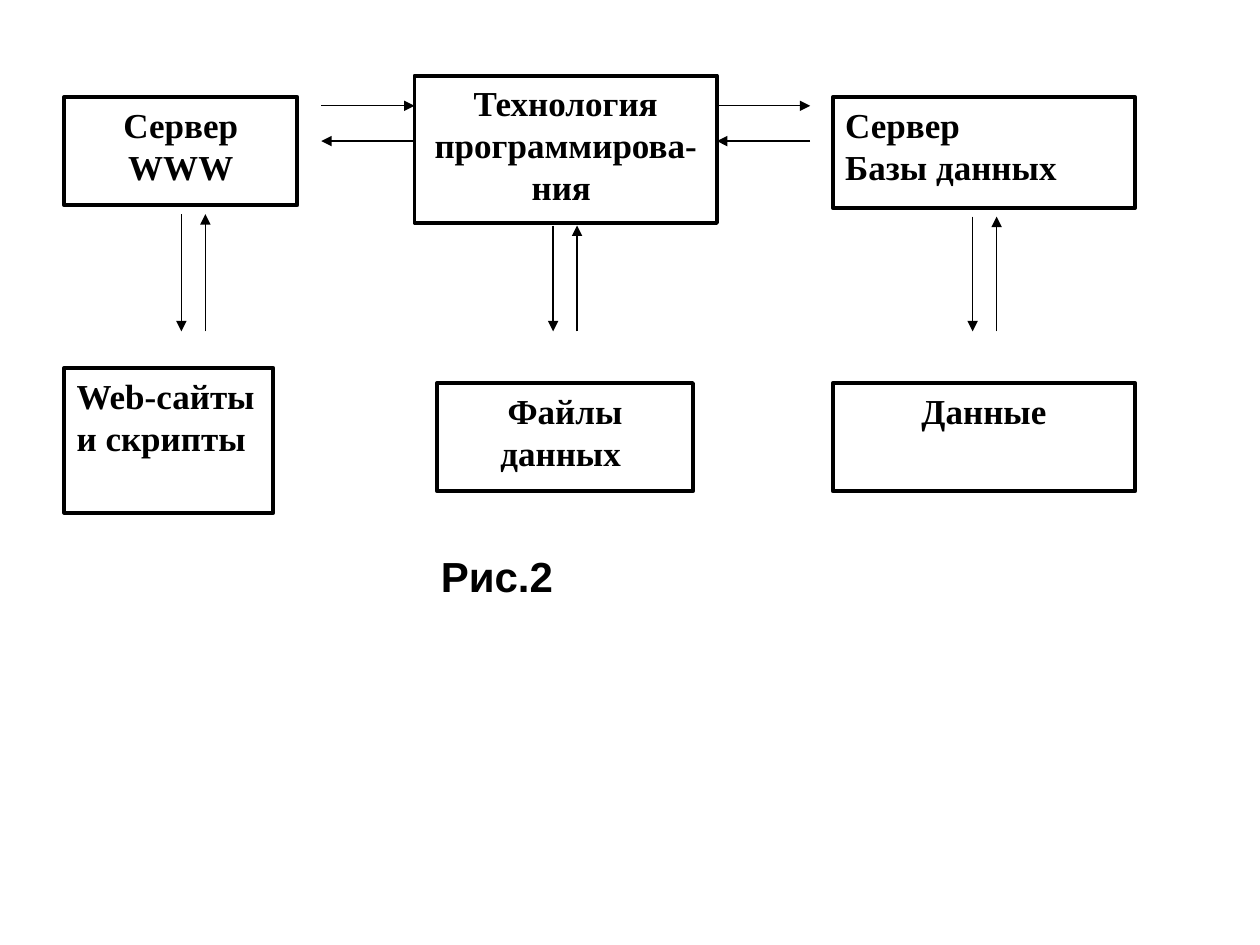
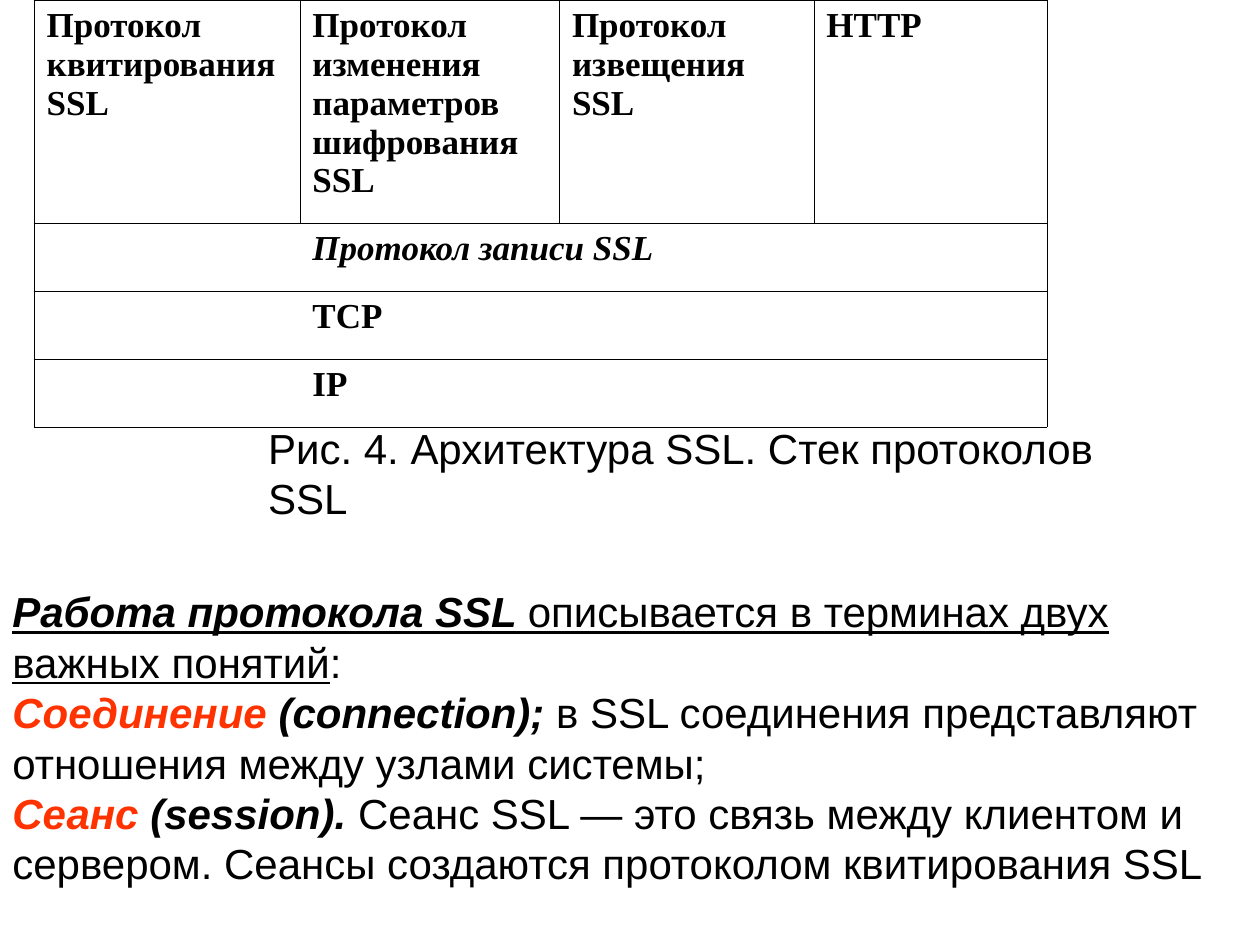
"""Build two slides: a web server scheme and the SSL protocol stack."""
from lxml.etree import SubElement
from pptx import Presentation
from pptx.dml.color import RGBColor
from pptx.enum.shapes import MSO_CONNECTOR as LINE, MSO_SHAPE as SHAPE
from pptx.enum.text import MSO_ANCHOR as ANCHOR, PP_ALIGN as ALIGN
from pptx.oxml.ns import qn
from pptx.util import Inches, Pt

BLACK = RGBColor(0, 0, 0)
WHITE = RGBColor(255, 255, 255)
ORANGE = RGBColor(255, 51, 0)
SERIF, SANS = "Times New Roman", "Arial"
BOX_SIZE, TEXT_SIZE = 20, 24
LINE_RATIO = 1.2

COLUMNS = (0.51, 3.29, 6.61)
BOXES = [
    ("Сервер WWW", COLUMNS[0], 0.77, 1.85, 0.86, ALIGN.CENTER),
    ("Технология программирова-ния ", COLUMNS[1], 0.6, 2.4, 1.17, ALIGN.CENTER),
    ("Сервер\nБазы данных", COLUMNS[2], 0.77, 2.4, 0.88, ALIGN.LEFT),
    ("Web-сайты\nи скрипты", COLUMNS[0], 2.92, 1.66, 1.15, ALIGN.LEFT),
    ("Файлы данных ", 3.47, 3.04, 2.03, 0.86, ALIGN.CENTER),
    ("Данные", COLUMNS[2], 3.04, 2.4, 0.86, ALIGN.CENTER),
]
ACROSS = [(2.55, 3.29), (5.69, 6.43)]
RIGHTWARD_Y, LEFTWARD_Y = 0.84, 1.12
DOWN = [(1.44, 1.7), (4.39, 1.79), (7.72, 1.72)]
DOWN_END, PAIR_GAP = 2.63, 0.19

STACK_HEAD = [
    "Протокол квитирования SSL",
    "Протокол\nизменения\nпараметров\nшифрования SSL",
    "Протокол извещения SSL",
    "HTTP",
]
STACK_LAYERS = ["Протокол записи SSL", "TCP", "IP"]
STACK_WIDTHS = (2.11, 2.06, 2.02, 1.85)
STACK_HEIGHTS = (1.77, 0.54, 0.54, 0.54)

PLAIN, STRONG, KEY = {}, {"bold": True, "italic": True}, {"bold": True, "italic": True, "color": ORANGE}
TERMS = [
    [("Работа протокола SSL ", {**STRONG, "underline": True}),
     ("описывается в терминах двух важных понятий", {"underline": True}), (":", PLAIN)],
    [("Соединение", KEY), (" (connection); ", STRONG),
     ("в SSL соединения представляют отношения между узлами системы;", PLAIN)],
    [("Сеанс", KEY), (" (session). ", STRONG),
     ("Сеанс SSL — это связь между клиентом и сервером. "
      "Сеансы создаются протоколом квитирования SSL", PLAIN)],
]


def style(para, name, size, bold=False, italic=False, spaced=True):
    """Set the font and line pitch of a paragraph."""
    font = para.font
    font.name, font.size, font.bold, font.italic = name, Pt(size), bold, italic
    font.color.rgb = BLACK
    if spaced:
        para.line_spacing = Pt(size * LINE_RATIO)


def add_box(page, text, left, top, width, height, align):
    """Add an outlined box with serif text."""
    box = page.shapes.add_shape(SHAPE.RECTANGLE, *map(Inches, (left, top, width, height)))
    box.shadow.inherit = False
    box.fill.solid()
    box.fill.fore_color.rgb = WHITE
    box.line.color.rgb = BLACK
    box.line.width = Pt(2.25)
    frame = box.text_frame
    frame.word_wrap = True
    frame.vertical_anchor = ANCHOR.TOP
    frame.text = text
    for para in frame.paragraphs:
        para.alignment = align
        style(para, SERIF, BOX_SIZE, bold=True)


def add_arrow(page, start, end):
    """Add a thin line with an arrowhead at its end."""
    arrow = page.shapes.add_connector(LINE.STRAIGHT, *map(Inches, (*start, *end)))
    arrow.line.color.rgb = BLACK
    arrow.line.width = Pt(0.75)
    SubElement(arrow.line._get_or_add_ln(), qn("a:tailEnd"), type="triangle")
    SubElement(arrow._element.spPr, qn("a:effectLst"))


def add_text(page, place, paragraphs, bold=False, wrap=False):
    """Add a sans text box from lists of formatted runs."""
    frame = page.shapes.add_textbox(*map(Inches, place)).text_frame
    frame.word_wrap = wrap
    frame.vertical_anchor = ANCHOR.MIDDLE
    for index, runs in enumerate(paragraphs):
        para = frame.add_paragraph() if index else frame.paragraphs[0]
        style(para, SANS, TEXT_SIZE, bold)
        for text, look in runs:
            span = para.add_run()
            span.text = text
            for key, value in look.items():
                if key == "color":
                    span.font.color.rgb = value
                else:
                    setattr(span.font, key, value)


def format_cell(cell, sides):
    """Draw the named sides of a cell and fill it white."""
    props = cell._tc.get_or_add_tcPr()
    for side in "LRTB":
        border = SubElement(props, qn(f"a:ln{side}"), w=str(Pt(0.45)))
        if side in sides:
            paint = SubElement(border, qn("a:solidFill"))
            SubElement(paint, qn("a:srgbClr"), val=str(BLACK))
        else:
            SubElement(border, qn("a:noFill"))
    cell.fill.solid()
    cell.fill.fore_color.rgb = WHITE


def add_stack(page):
    """Add the protocol stack table."""
    rows, columns = len(STACK_HEIGHTS), len(STACK_WIDTHS)
    place = map(Inches, (0.27, 0, sum(STACK_WIDTHS), sum(STACK_HEIGHTS)))
    table = page.shapes.add_table(rows, columns, *place).table
    table.first_row = table.horz_banding = False
    for column, width in zip(table.columns, STACK_WIDTHS):
        column.width = Inches(width)
    for row, height in zip(table.rows, STACK_HEIGHTS):
        row.height = Inches(height)
    grid = [STACK_HEAD] + [["", layer, "", ""] for layer in STACK_LAYERS]
    for row, texts in enumerate(grid):
        for column, text in enumerate(texts):
            cell = table.cell(row, column)
            left = "L" if row == 0 or column == 0 else ""
            right = "R" if row == 0 or column == columns - 1 else ""
            format_cell(cell, "TB" + left + right)
            cell.text = text
            for para in cell.text_frame.paragraphs:
                style(para, SERIF, BOX_SIZE, True, row == 1, spaced=False)
        if row:
            table.cell(row, 1).merge(table.cell(row, 2))


def build_scheme(page):
    """Fill the slide with the server scheme."""
    for box in BOXES:
        add_box(page, *box)
    for left, right in ACROSS:
        add_arrow(page, (left, RIGHTWARD_Y), (right, RIGHTWARD_Y))
        add_arrow(page, (right, LEFTWARD_Y), (left, LEFTWARD_Y))
    for x, top in DOWN:
        add_arrow(page, (x, top), (x, DOWN_END))
        add_arrow(page, (x + PAIR_GAP, DOWN_END), (x + PAIR_GAP, top))
    add_text(page, (3.4, 4.32, 1.09, 0.5), [[("Рис.2", PLAIN)]], bold=True)


def build_ssl(page):
    """Fill the slide with the SSL table and terms."""
    add_stack(page)
    caption = "Рис. 4. Архитектура SSL. Стек протоколов SSL"
    add_text(page, (2.03, 3.5, 7.46, 0.5), [[(caption, PLAIN)]])
    add_text(page, (0, 4.6, 10, 2.5), TERMS, wrap=True)


def main():
    """Build and save the deck."""
    deck = Presentation()
    deck.slide_width, deck.slide_height = Inches(10), Inches(7.5)
    for build in (build_scheme, build_ssl):
        page = deck.slides.add_slide(deck.slide_layouts[6])
        page.background.fill.solid()
        page.background.fill.fore_color.rgb = WHITE
        build(page)
    deck.save("out.pptx")


if __name__ == "__main__":
    main()
